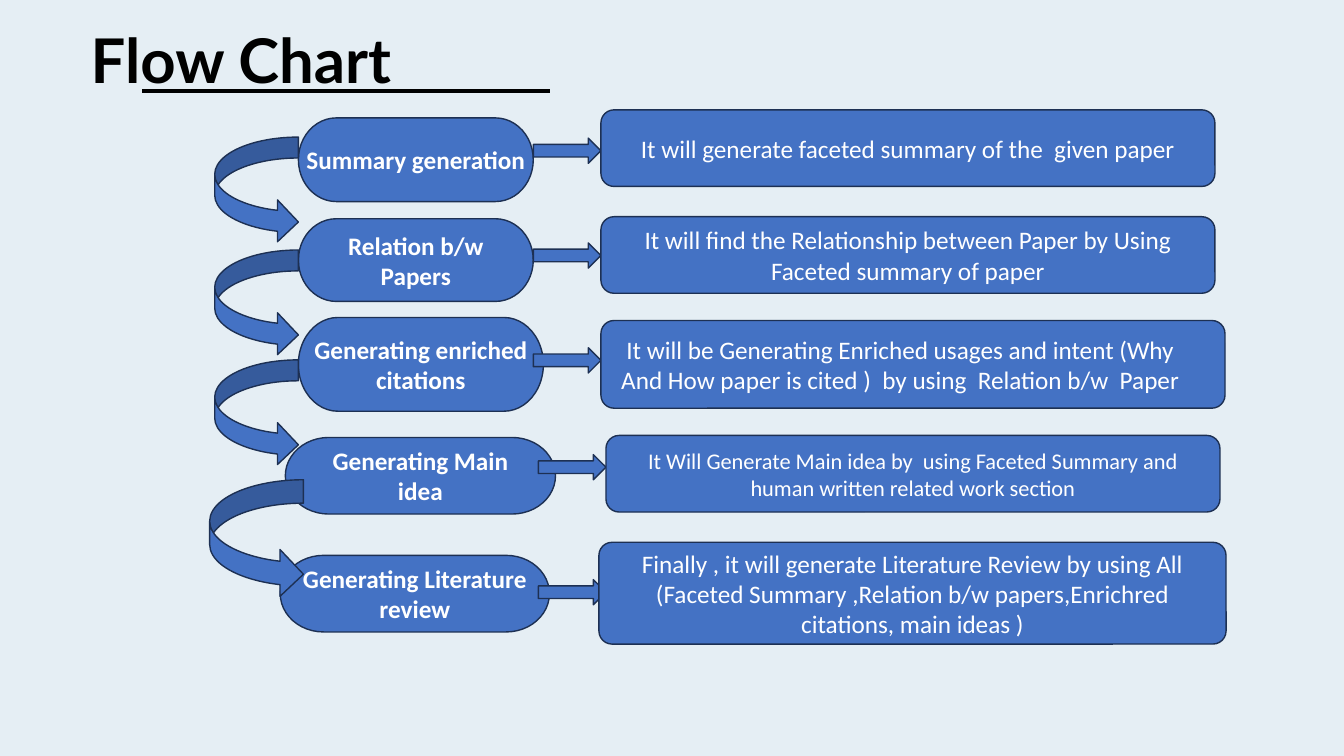
from typing import NamedTuple

from lxml.etree import SubElement
from pptx import Presentation
from pptx.dml.color import RGBColor
from pptx.enum.shapes import MSO_CONNECTOR, MSO_SHAPE
from pptx.enum.text import MSO_ANCHOR, MSO_AUTO_SIZE, PP_ALIGN
from pptx.oxml.ns import qn
from pptx.util import Inches, Pt

PALE_BLUE = RGBColor(0xE5, 0xEE, 0xF4)
BLUE = RGBColor(0x44, 0x72, 0xC4)
NAVY = RGBColor(0x1D, 0x30, 0x53)
WHITE = RGBColor(0xFF, 0xFF, 0xFF)
BLACK = RGBColor(0, 0, 0)


class Step(NamedTuple):
    """One row of the chart; boxes are left, top, width, height in inches."""
    label: str
    label_box: tuple
    arrow_at: tuple
    detail: str
    detail_box: tuple
    detail_size: int = 18
    detail_margins: tuple = (0.15, 0.15)
    label_wraps: bool = True


STEPS = [
    Step("Summary generation", (2.96, 1.17, 2.33, 0.83), (5.29, 1.37),
         "It will generate faceted summary of the  given paper",
         (5.96, 1.09, 6.09, 0.76), label_wraps=False),
    Step("Relation b/w\nPapers", (2.96, 2.17, 2.33, 0.82), (5.29, 2.41),
         "It will find the Relationship between Paper by Using Faceted summary of paper",
         (5.96, 2.15, 6.09, 0.76)),
    Step("Generating enriched citations", (2.96, 3.15, 2.43, 0.93), (5.29, 3.45),
         "It will be Generating Enriched usages and intent (Why And How paper is cited )"
         "  by using  Relation b/w  Paper",
         (5.96, 3.18, 6.19, 0.87), detail_margins=(0.12, 0.37)),
    Step("Generating Main\nidea", (2.83, 4.34, 2.68, 0.76), (5.34, 4.51),
         "It Will Generate Main idea by  using Faceted Summary and human written "
         "related work section",
         (6.01, 4.32, 6.09, 0.76), detail_size=16),
    Step("Generating Literature review", (2.78, 5.51, 2.67, 0.76), (5.34, 5.75),
         "Finally , it will generate Literature Review by using All (Faceted Summary "
         ",Relation b/w papers,Enrichred citations, main ideas )",
         (5.94, 5.38, 6.22, 1.01)),
]
LOOP_BOXES = [(2.13, top, 0.83, 1.05) for top in (1.36, 2.48, 3.57)]
LOOP_BOXES.append((2.08, 4.76, 0.93, 1.17))


def add_blue_shape(slide, preset, box):
    shape = slide.shapes.add_shape(preset, *map(Inches, box))
    shape.shadow.inherit = False
    shape.fill.solid()
    shape.fill.fore_color.rgb = BLUE
    shape.line.color.rgb = NAVY
    shape.line.width = Pt(1)
    return shape


def write_text(shape, text, size, bold=False, margins=(0, 0), wraps=True):
    """Centre white text in the shape; margins are left and right in inches."""
    frame = shape.text_frame
    frame.text = text
    frame.word_wrap = wraps
    frame.vertical_anchor = MSO_ANCHOR.MIDDLE
    frame.margin_left, frame.margin_right = map(Inches, margins)
    frame.margin_top = frame.margin_bottom = 0
    for paragraph in frame.paragraphs:
        paragraph.alignment = PP_ALIGN.CENTER
        paragraph.font.name = "Calibri"
        paragraph.font.size = Pt(size)
        paragraph.font.bold = bold
        paragraph.font.color.rgb = WHITE


def add_heading(slide, left, top, width, height):
    title = slide.shapes.title
    title.left, title.top = Inches(left), Inches(top)
    title.width, title.height = Inches(width), Inches(height)
    frame = title.text_frame
    frame.text = "Flow Chart"
    frame.auto_size = MSO_AUTO_SIZE.NONE
    frame.vertical_anchor = MSO_ANCHOR.TOP
    frame.margin_left = frame.margin_right = Inches(0.05)
    frame.margin_top = frame.margin_bottom = Inches(0.05)
    heading = frame.paragraphs[0]
    heading.alignment = PP_ALIGN.LEFT
    heading.line_spacing = 1.0
    heading.font.name = "Lato"
    heading.font.size = Pt(44)
    heading.font.bold = True
    heading.font.color.rgb = BLACK

    rule_left, rule_y = left + 0.56, top + 0.73
    rule = slide.shapes.add_connector(
        MSO_CONNECTOR.STRAIGHT, Inches(rule_left), Inches(rule_y),
        Inches(rule_left + 4.05), Inches(rule_y))
    rule.line.color.rgb = BLACK
    rule.line.width = Pt(3)
    SubElement(rule._element.spPr, qn("a:effectLst"))


def add_flow(slide, steps, loop_boxes):
    for step in steps:
        pill = add_blue_shape(slide, MSO_SHAPE.FLOWCHART_TERMINATOR, step.label_box)
        write_text(pill, step.label, 18, bold=True, wraps=step.label_wraps)
    for box in loop_boxes:
        add_blue_shape(slide, MSO_SHAPE.CURVED_RIGHT_ARROW, box)
    for step in steps:
        add_blue_shape(slide, MSO_SHAPE.RIGHT_ARROW, (*step.arrow_at, 0.67, 0.25))
    for step in steps:
        panel = add_blue_shape(slide, MSO_SHAPE.ROUNDED_RECTANGLE, step.detail_box)
        # Every panel keeps the same corner radius whatever its height
        panel.adjustments[0] = 0.13 / step.detail_box[3]
        write_text(panel, step.detail, step.detail_size, margins=step.detail_margins)


def main():
    presentation = Presentation()
    presentation.slide_width = Inches(13.33)
    presentation.slide_height = Inches(7.5)
    slide = presentation.slides.add_slide(presentation.slide_layouts[5])
    slide.background.fill.solid()
    slide.background.fill.fore_color.rgb = PALE_BLUE
    add_heading(slide, 0.85, 0.17, 3.95, 0.84)
    add_flow(slide, STEPS, LOOP_BOXES)
    presentation.save("out.pptx")


if __name__ == "__main__":
    main()
